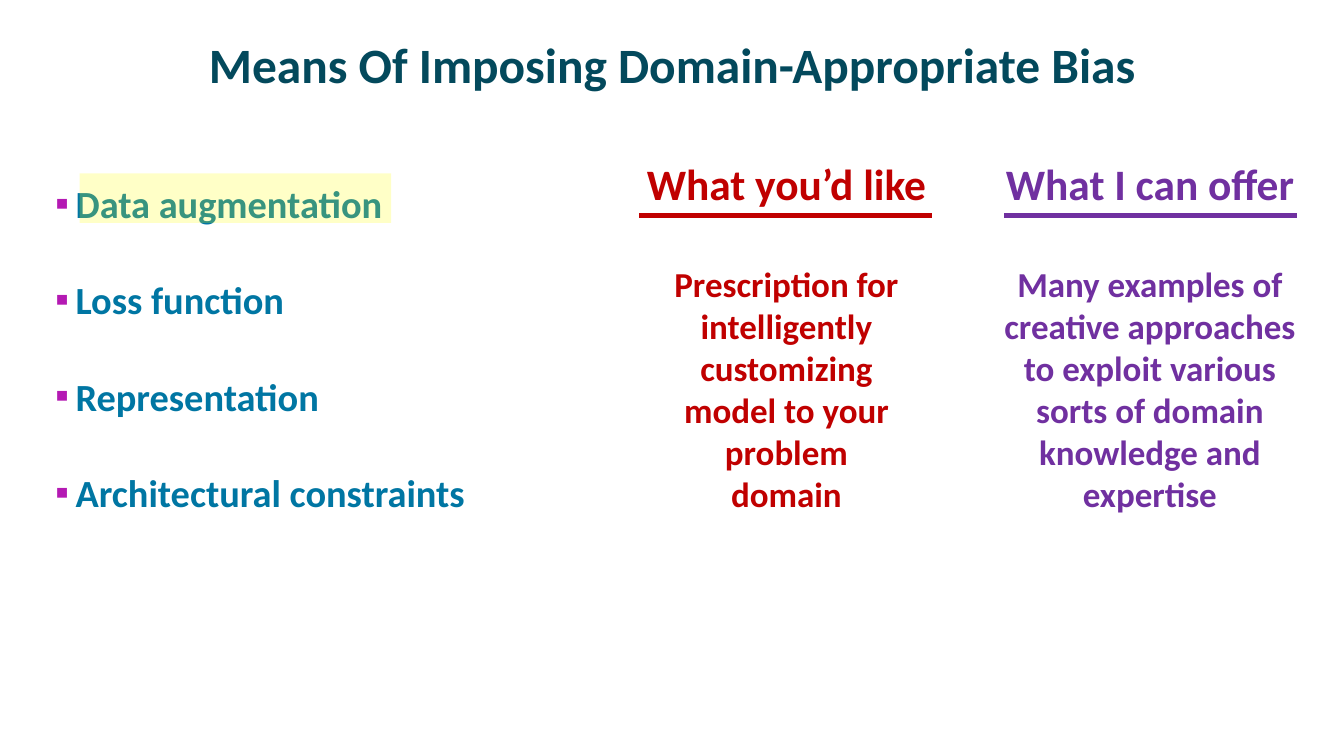
from lxml.etree import SubElement
from pptx import Presentation
from pptx.dml.color import RGBColor
from pptx.enum.shapes import MSO_CONNECTOR, MSO_SHAPE
from pptx.enum.text import MSO_ANCHOR, MSO_AUTO_SIZE, PP_ALIGN
from pptx.oxml.ns import qn
from pptx.util import Inches, Pt

COLORS = {
    "title": "03495C",
    "item": "0076A3",
    "bullet": "B419B3",
    "mark": "FFFF00",
    "like": "C00000",
    "offer": "7030A0",
}
ITEMS = ["Data augmentation", "Loss function", "Representation", "Architectural constraints"]
LIKE = ["Prescription for", "intelligently customizing", "model to your problem", "domain"]
OFFER = [
    "Many examples of\ncreative approaches\nto exploit various",
    "sorts of domain\nknowledge and\nexpertise",
]


def color(name):
    return RGBColor.from_string(COLORS[name])


def place(shape, left, top, width, height):
    shape.left, shape.top = Inches(left), Inches(top)
    shape.width, shape.height = Inches(width), Inches(height)


def inset(frame, side, edge):
    frame.margin_left = frame.margin_right = Inches(side)
    frame.margin_top = frame.margin_bottom = Inches(edge)


def add_bullet(para):
    props = para._p.get_or_add_pPr()
    props.set("marL", str(Inches(0.2)))
    props.set("indent", str(-Inches(0.2)))
    tint = SubElement(props, qn("a:buClr"))
    SubElement(tint, qn("a:srgbClr"), val=COLORS["bullet"])
    SubElement(props, qn("a:buFont"), typeface="Calibri")
    SubElement(props, qn("a:buChar"), char="▪")


def write(frame, text, size, tone, align=PP_ALIGN.CENTER, before=0, line=None, bullet=False):
    first = frame.paragraphs[0]
    para = frame.add_paragraph() if first.runs else first
    para.text = text
    para.alignment = align
    para.space_before = Pt(before)
    if line:
        para.line_spacing = line
    if bullet:
        add_bullet(para)
    for run in para.runs:
        font = run.font
        font.name, font.size, font.bold = "Calibri", Pt(size), True
        font.color.rgb = color(tone)


def add_title(slide, text):
    title = slide.shapes.title
    place(title, 0.67, 0.17, 12, 0.92)
    frame = title.text_frame
    frame.vertical_anchor = MSO_ANCHOR.MIDDLE
    inset(frame, 0.11, 0.06)
    write(frame, text, 35.3, "title")


def add_box(slide, left, top, width, height, wrap=True):
    box = slide.shapes.add_textbox(Inches(left), Inches(top), Inches(width), Inches(height))
    frame = box.text_frame
    frame.word_wrap = wrap
    frame.auto_size = MSO_AUTO_SIZE.NONE
    return frame


def add_list(slide, items):
    frame = add_box(slide, 0.44, 1.5, 12.22, 5.2)
    inset(frame, 0.11, 0.06)
    for index, item in enumerate(items):
        write(frame, item, 27.4, "item", align=PP_ALIGN.LEFT,
              before=19.5 if index else 0, line=1.5, bullet=True)


def add_mark(slide):
    mark = slide.shapes.add_shape(
        MSO_SHAPE.RECTANGLE, Inches(0.79), Inches(1.72), Inches(3.09), Inches(0.49))
    mark.shadow.inherit = False
    mark.line.fill.background()
    mark.fill.solid()
    mark.fill.fore_color.rgb = color("mark")
    tint = mark.fill._xPr.find(".//" + qn("a:srgbClr"))
    SubElement(tint, qn("a:alpha"), val="22000")


def add_column(slide, left, width, head, lines, tone, wrap=True):
    frame = add_box(slide, left, 1.51, width, 3.67, wrap)
    write(frame, head, 31, tone)
    for index, text in enumerate(lines):
        write(frame, text.replace("\n", "\v"), 25, tone, before=0 if index else 38)


def add_rule(slide, left, tone):
    rule = slide.shapes.add_connector(
        MSO_CONNECTOR.STRAIGHT, Inches(left), Inches(2.14), Inches(left + 2.9), Inches(2.14))
    rule.line.color.rgb = color(tone)
    rule.line.width = Pt(4)
    SubElement(rule._element.spPr, qn("a:effectLst"))


def main():
    deck = Presentation()
    deck.slide_width, deck.slide_height = Inches(13.33), Inches(7.5)
    slide = deck.slides.add_slide(deck.slide_layouts[5])
    add_title(slide, "Means Of Imposing Domain-Appropriate Bias")
    add_list(slide, ITEMS)
    add_mark(slide)
    add_column(slide, 6.11, 3.38, "What you’d like", LIKE, "like")
    add_column(slide, 9.84, 3.13, "What I can offer", OFFER, "offer", wrap=False)
    add_rule(slide, 6.34, "like")
    add_rule(slide, 9.96, "offer")
    deck.save("out.pptx")


if __name__ == "__main__":
    main()
